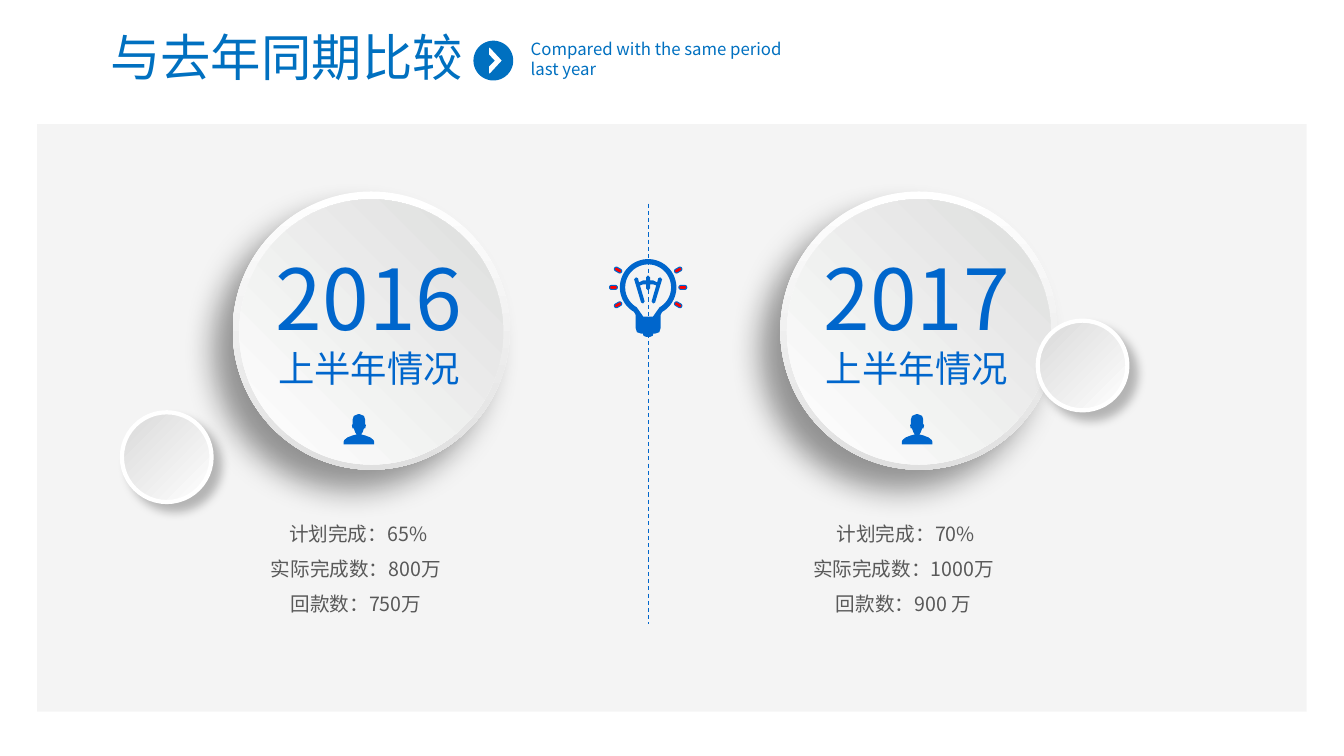
from dataclasses import dataclass
from math import cos, radians, sin

from lxml import etree
from pptx import Presentation
from pptx.dml.color import RGBColor
from pptx.enum.dml import MSO_LINE
from pptx.enum.shapes import MSO_CONNECTOR, MSO_SHAPE
from pptx.enum.text import MSO_AUTO_SIZE, PP_ALIGN
from pptx.oxml.ns import qn
from pptx.util import Pt

DASH = MSO_LINE.DASH
LINE = MSO_CONNECTOR.STRAIGHT
RECT, OVAL = MSO_SHAPE.RECTANGLE, MSO_SHAPE.OVAL
GROW = MSO_AUTO_SIZE.SHAPE_TO_FIT_TEXT
LEFT, MID = PP_ALIGN.LEFT, PP_ALIGN.CENTER


@dataclass(frozen=True)
class Theme:
    font: str = "Noto Sans CJK SC"
    head: str = "0070C0"
    blue: str = "0066CC"
    red: str = "FF0000"
    gray: str = "595959"
    panel: str = "F2F2F2"
    white: str = "FFFFFF"
    rim: str = "E0E0E0"
    face: str = "DDDEDD"
    ball: str = "D9D9D9"
    title: int = 36
    note: int = 12
    year: int = 60
    label: int = 26
    body: int = 14


THEME = Theme()

PERSON = [(0.7, 0), (3.6, 1.2), (4.4, 3.6), (4.4, 7), (5, 7.8), (4.6, 10),
          (3.6, 10.2), (2.6, 13), (1.6, 14.4), (4.6, 15.2), (8.2, 16.6),
          (10.4, 18.4), (10.9, 19.6), (10.9, 21.6)]
WIRE = [(0, -8.6), (1.4, -7.2), (1.4, -5), (3.6, -5), (6.5, -3.6), (7.2, -6.5),
        (8.6, -7.2), (10, -5.8), (5, 10.8), (3.6, 11.5), (2.5, 10), (5.8, -1.4),
        (3.6, -2.2), (1.4, -2.2), (1.4, 0.7), (0, 2.2)]
NECK = [(9, 19.5), (9, 28.8), (8, 32), (5, 33), (3.6, 33), (3.4, 34.5), (1.5, 35.3)]
THROAT = [(5, 18.7), (3.5, 20.9)]
ARROW = [(6.1, 0), (-2.6, -9.4), (-3.2, -8.8), (-3.2, -4.3), (1, 0),
         (-3.2, 4.3), (-3.2, 8.8), (-2.6, 9.4)]


def rgb(color):
    return RGBColor.from_string(color)


def arc(r, start, end, x=0, y=0, step=5):
    angles = [radians(a) for a in range(start, end + 1, step)]
    return [(x + r * cos(a), y + r * sin(a)) for a in angles]


def mirror(half):
    return half + [(-x, y) for x, y in reversed(half)]


def ray(angle):
    ends = [arc(1.4, angle + turn - 90, angle + turn + 90,
                dist * cos(radians(angle)), dist * sin(radians(angle)), 15)
            for dist, turn in ((26.2, 0), (23.4, 180))]
    return ends[0] + ends[1]


def outline(slide, x, y, loops, color, edge=None):
    loops = [[(px * 100, py * 100) for px, py in loop] for loop in loops]
    pen = slide.shapes.build_freeform(*loops[0][0], scale=Pt(1) / 100)
    for i, loop in enumerate(loops):
        if i:
            pen.move_to(*loop[0])
        pen.add_line_segments(loop[1:], close=True)
    finish(pen.convert_to_shape(Pt(x), Pt(y)), color, edge)


def finish(shape, color, edge=None, width=0.75):
    shape.shadow.inherit = False
    if isinstance(color, tuple):
        first, last, angle = color
        shape.fill.gradient()
        shape.fill.gradient_angle = (360 - angle) % 360
        for stop, tint in zip(shape.fill.gradient_stops, (first, last)):
            stop.color.rgb = rgb(tint)
    else:
        shape.fill.solid()
        shape.fill.fore_color.rgb = rgb(color)
    if edge:
        shape.line.color.rgb = rgb(edge)
        shape.line.width = Pt(width)
    else:
        shape.line.fill.background()


def form(slide, kind, box, color, edge=None, width=0.75):
    shape = slide.shapes.add_shape(kind, *map(Pt, box))
    finish(shape, color, edge, width)
    return shape


def fade(parent, percent):
    etree.SubElement(parent, qn("a:alpha"), val=str(percent * 1000))


def shade(shape, alpha, blur, dist, angle):
    effects = shape._element.spPr.find(qn("a:effectLst"))
    outer = etree.SubElement(effects, qn("a:outerShdw"), blurRad=str(Pt(blur)),
                             dist=str(Pt(dist)), dir=str(angle * 60000),
                             algn="ctr", rotWithShape="0")
    fade(etree.SubElement(outer, qn("a:srgbClr"), val="000000"), alpha)


def write(slide, box, lines, size, color, align=MID, space=None, wrap=True):
    frame = slide.shapes.add_textbox(*map(Pt, box)).text_frame
    frame.word_wrap = wrap
    frame.auto_size = GROW
    for i, line in enumerate(lines):
        para = frame.add_paragraph() if i else frame.paragraphs[0]
        para.text = line
        para.alignment = align
        if space:
            para.line_spacing = space
        font = para.font
        font.name, font.size = THEME.font, Pt(size)
        font.color.rgb = rgb(color)
        props = para._p.pPr.find(qn("a:defRPr"))
        etree.SubElement(props, qn("a:ea"), typeface=THEME.font)


def header(slide):
    outline(slide, 352.6, 43.3, [arc(14.2, 0, 355), ARROW], THEME.head)
    write(slide, (372.2, 23.8, 209.5, 36), ["Compared with the same period last year"],
          THEME.note, THEME.head, LEFT)
    write(slide, (54.7, 15.1, 300.2, 51), ["与去年同期比较"], THEME.title, THEME.head)


def panel(slide):
    shape = form(slide, RECT, (26.6, 88.6, 907.2, 419.8), THEME.panel)
    fade(shape._element.spPr.find(qn("a:solidFill"))[0], 78)


def bulb(slide):
    line = slide.shapes.add_connector(LINE, Pt(463.2), Pt(145.4), Pt(463.2), Pt(445.7))
    line.line.color.rgb = rgb(THEME.blue)
    line.line.width = Pt(0.75)
    line.line.dash_style = DASH
    etree.SubElement(line._element.spPr, qn("a:effectLst"))
    glass = [mirror(arc(20.2, -90, 60) + NECK), mirror(arc(16.4, -90, 60) + THROAT)]
    rays = [ray(side + tilt) for side in (0, 180) for tilt in (-30, 0, 30)]
    outline(slide, 463.2, 205.3, glass, THEME.blue)
    outline(slide, 463.2, 205.3, rays, THEME.red, THEME.blue)
    outline(slide, 463.2, 205.3, [mirror(WIRE)], THEME.blue)


def disc(slide, x, icon, year, facts):
    write(slide, (x - 15.1, 360.7, 209.5, 83.5), facts, THEME.body, THEME.gray, space=1.5)
    rim = form(slide, OVAL, (x, 136.8, 198, 198.7), (THEME.white, THEME.rim, 90))
    shade(rim, 40, 22, 20, 135)
    form(slide, OVAL, (x + 4.7, 142.4, 188.6, 189.4), (THEME.white, THEME.face, 315))
    write(slide, (x + 19.4, 172.8, 156.2, 79.9), [year], THEME.year, THEME.blue, wrap=False)
    write(slide, (x - 5, 243.4, 205.2, 38.9), ["上半年情况"], THEME.label, THEME.blue)
    outline(slide, icon, 295.9, [mirror(PERSON)], THEME.blue)


def ball(slide, x, y):
    shape = form(slide, OVAL, (x, y, 64.1, 64.1), (THEME.ball, THEME.white, 45),
                 THEME.white, 3)
    shade(shape, 25, 7, 8, 45)


def main():
    deck = Presentation()
    deck.slide_width, deck.slide_height = Pt(960.5), Pt(540)
    slide = deck.slides.add_slide(deck.slide_layouts[6])
    header(slide)
    panel(slide)
    disc(slide, 166.3, 256.5, "2016",
         ["计划完成：65%", "实际完成数：800万 ", "回款数：750万 "])
    bulb(slide)
    disc(slide, 557.7, 655.4, "2017",
         ["计划完成：70%", "实际完成数：1000万 ", "回款数：900 万 "])
    ball(slide, 87.1, 294.5)
    ball(slide, 741.6, 229)
    deck.save("out.pptx")


if __name__ == "__main__":
    main()
